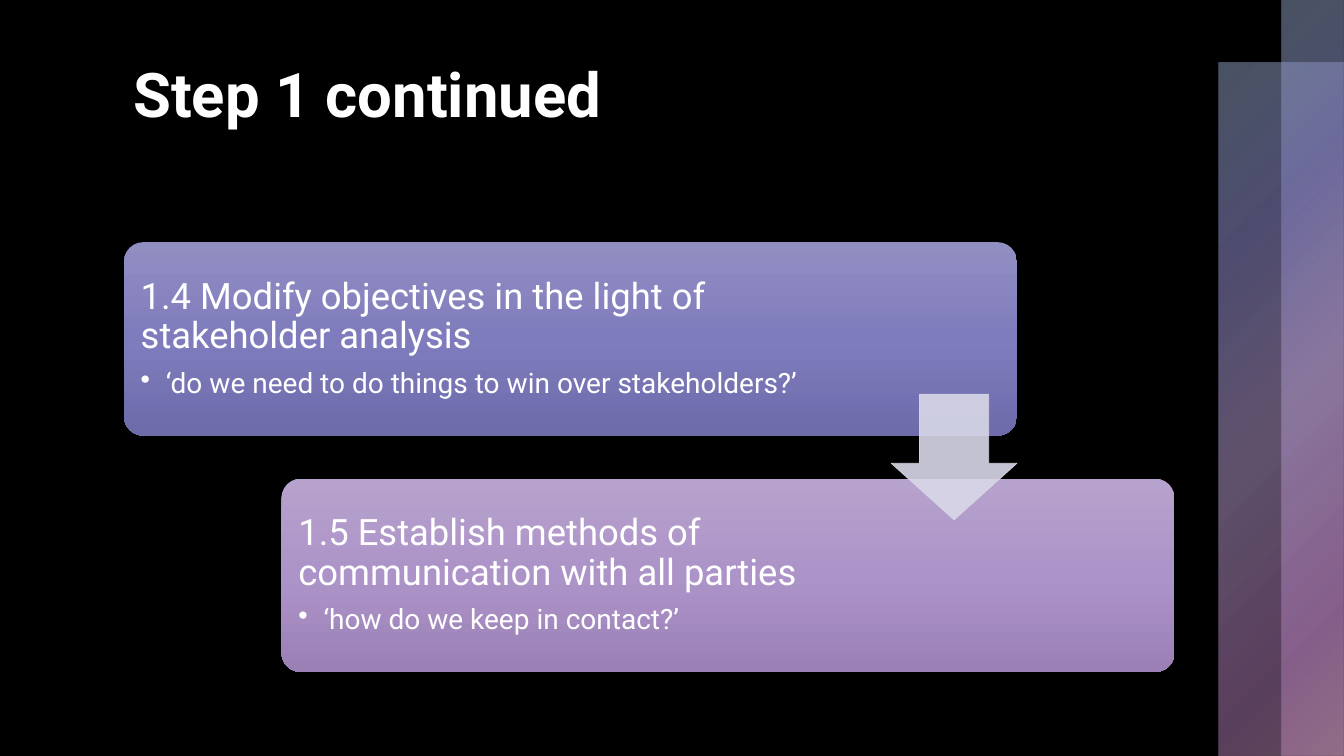
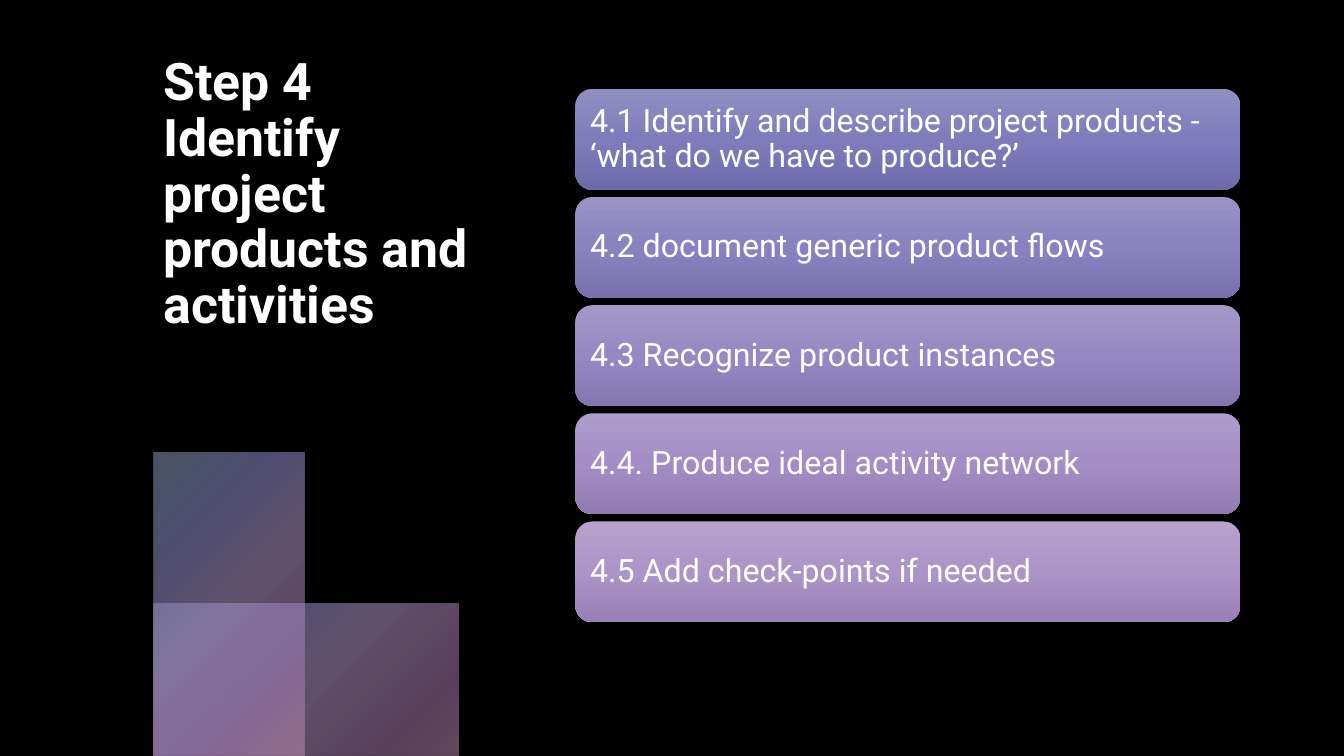
from collections import namedtuple
from dataclasses import dataclass

from lxml.etree import SubElement
from pptx import Presentation
from pptx.dml.color import RGBColor
from pptx.enum.shapes import MSO_SHAPE
from pptx.enum.text import MSO_ANCHOR, MSO_AUTO_SIZE, PP_ALIGN
from pptx.oxml.ns import qn
from pptx.util import Pt

Box = namedtuple("Box", "left top width height")


@dataclass(frozen=True)
class Theme:
    """Colours and type sizes shared by all slides."""

    font: str = "Roboto"
    background: str = "000000"
    text: str = "FFFFFF"
    arrow: str = "D8D8E7"
    arrow_opacity: int = 90
    card_first: tuple = ("918EC2", "7F7CBD", "6E6BAB")
    card_last: tuple = ("B6A2CD", "AD94C8", "9A80B5")
    panel: tuple = (
        (0, "92A4C4", 50),
        (25, "827FBA", 60),
        (50, "AD96C6", 55),
        (81, "B37FBA", 50),
        (99, "C593B5", 50),
    )
    title_size: int = 44
    side_title_size: int = 37
    heading_size: int = 26
    list_size: int = 23
    detail_size: int = 20


THEME = Theme()


def blend(first, last, share):
    """Return the hex colour at the given share of the way between two."""
    pairs = zip(RGBColor.from_string(first), RGBColor.from_string(last))
    return str(RGBColor(*(round(a + (b - a) * share) for a, b in pairs)))


def card_colours(share):
    """Return the three gradient colours of a card in a series."""
    return [blend(a, b, share) for a, b in zip(THEME.card_first, THEME.card_last)]


def set_opacity(colour, percent):
    """Give a colour element an opacity."""
    SubElement(colour, qn("a:alpha"), val=str(percent * 1000))


def set_gradient(shape, stops, radial=False):
    """Fill a shape with a vertical gradient, or one spreading from its top left."""
    shape.fill.background()
    properties = shape.fill._xPr
    empty_fill = properties.find(qn("a:noFill"))
    gradient = SubElement(properties, qn("a:gradFill"), rotWithShape="1")
    properties.replace(empty_fill, gradient)
    stop_list = SubElement(gradient, qn("a:gsLst"))
    for position, colour, opacity in stops:
        stop = SubElement(stop_list, qn("a:gs"), pos=str(position * 1000))
        set_opacity(SubElement(stop, qn("a:srgbClr"), val=colour), opacity)
    if radial:
        spread = SubElement(gradient, qn("a:path"), path="circle")
        SubElement(spread, qn("a:fillToRect"), r="100000", b="100000")
    else:
        SubElement(gradient, qn("a:lin"), ang="5400000", scaled="0")


def add_shape(slide, kind, box):
    """Add a preset shape without shadow or line."""
    shape = slide.shapes.add_shape(kind, *(Pt(length) for length in box))
    shape.shadow.inherit = False
    shape.line.fill.background()
    return shape


def add_text(frame, text, *, size, bold=False, line_spacing=1.0, space_after=0, bullet_indent=0):
    """Write a paragraph into a text frame, using its first one while empty."""
    paragraph = frame.paragraphs[0]
    if paragraph.runs:
        paragraph = frame.add_paragraph()
    paragraph.alignment = PP_ALIGN.LEFT
    paragraph.line_spacing = line_spacing
    paragraph.space_after = Pt(space_after)
    if bullet_indent:
        properties = paragraph._p.get_or_add_pPr()
        properties.set("marL", str(Pt(bullet_indent)))
        properties.set("indent", str(-Pt(bullet_indent)))
        SubElement(properties, qn("a:buChar"), char="•")
    run = paragraph.add_run()
    run.text = text
    run.font.name = THEME.font
    run.font.size = Pt(size)
    run.font.bold = bold
    run.font.color.rgb = RGBColor.from_string(THEME.text)


def set_margins(frame, margin, right=None):
    """Set equal insets, with an optional wider one on the right."""
    frame.margin_left = frame.margin_top = frame.margin_bottom = Pt(margin)
    frame.margin_right = Pt(margin if right is None else right)


def add_slide(presentation, title, box, size, line_spacing=1.0):
    """Add a dark slide with its title in the given box."""
    slide = presentation.slides.add_slide(presentation.slide_layouts[5])
    slide.background.fill.solid()
    slide.background.fill.fore_color.rgb = RGBColor.from_string(THEME.background)
    shape = slide.shapes.title
    shape.left, shape.top, shape.width, shape.height = (Pt(length) for length in box)
    frame = shape.text_frame
    frame.word_wrap = True
    frame.auto_size = MSO_AUTO_SIZE.NONE
    frame.vertical_anchor = MSO_ANCHOR.TOP
    add_text(frame, title, size=size, bold=True, line_spacing=line_spacing)
    return slide


def add_panels(slide, box, wide_top, tall_left, tall_width):
    """Overlap a wide and a tall translucent panel inside the box."""
    wide = Box(box.left, box.top + wide_top, box.width, box.height - wide_top)
    tall = Box(box.left + tall_left, box.top, tall_width, box.height)
    for panel in (wide, tall):
        shape = add_shape(slide, MSO_SHAPE.RECTANGLE, panel)
        set_gradient(shape, THEME.panel, radial=True)


def add_card(slide, box, share, margin, right=None):
    """Add a rounded gradient card and return it."""
    card = add_shape(slide, MSO_SHAPE.ROUNDED_RECTANGLE, box)
    colours = card_colours(share)
    set_gradient(card, [(position, colour, 100) for position, colour in zip((0, 50, 100), colours)])
    frame = card.text_frame
    frame.word_wrap = True
    frame.vertical_anchor = MSO_ANCHOR.MIDDLE
    set_margins(frame, margin, right)
    return card


def add_arrow(slide, box):
    """Add a translucent arrow pointing down."""
    arrow = add_shape(slide, MSO_SHAPE.DOWN_ARROW, box)
    arrow.adjustments[0] = 0.55
    arrow.adjustments[1] = 0.45
    arrow.line.width = Pt(0.5)
    for fill in (arrow.fill, arrow.line.fill):
        fill.solid()
        fill.fore_color.rgb = RGBColor.from_string(THEME.arrow)
        set_opacity(fill._xPr.find(qn("a:solidFill"))[0], THEME.arrow_opacity)


def add_staircase(slide, box, steps):
    """Lay two cards as descending steps, joined by an arrow."""
    width, height = box.width * 0.85, box.height * 0.45
    for index, (heading, detail, right) in enumerate(steps):
        left = box.left + index * (box.width - width)
        top = box.top + index * (box.height - height)
        card = add_card(slide, Box(left, top, width, height), index, 8, right)
        card.adjustments[0] = 0.1
        add_text(card.text_frame, heading, size=THEME.heading_size, line_spacing=0.9, space_after=9)
        add_text(card.text_frame, detail, size=THEME.detail_size, line_spacing=0.9,
                 space_after=3, bullet_indent=18)
    side = height * 0.65
    add_arrow(slide, Box(box.left + width - side, box.top + (box.height - side) / 2, side, side))


def add_card_list(slide, box, items, gap):
    """Stack equal cards down the box."""
    height = (box.height - gap * (len(items) - 1)) / len(items)
    for index, item in enumerate(items):
        card_box = Box(box.left, box.top + index * (height + gap), box.width, height)
        card = add_card(slide, card_box, index / (len(items) - 1), 7)
        add_text(card.text_frame, item, size=THEME.list_size, line_spacing=0.9)


def build_staircase_slide(presentation):
    """Build the slide with the last parts of step 1."""
    slide = add_slide(presentation, "Step 1 continued", Box(88, 36, 746.5, 122.5), THEME.title_size)
    add_panels(slide, Box(870.5, 0, 89.5, 540), wide_top=45, tall_left=45, tall_width=44.5)
    add_staircase(slide, Box(88.5, 173, 750.5, 307), (
        ("1.4 Modify objectives in the light of stakeholder analysis",
         "‘do we need to do things to win over stakeholders?’", 143),
        ("1.5 Establish methods of communication with all parties",
         "‘how do we keep in contact?’", 211),
    ))


def build_list_slide(presentation):
    """Build the slide listing the parts of step 4."""
    slide = add_slide(presentation, "Step 4 Identify project products and activities",
                      Box(109.5, 36, 250.5, 267), THEME.side_title_size, 0.9)
    add_panels(slide, Box(109.5, 323, 218, 217), wide_top=108, tall_left=0, tall_width=108)
    add_card_list(slide, Box(411, 63.5, 475, 381), (
        "4.1 Identify and describe project products - ‘what do we have to produce?’",
        "4.2 document generic product flows",
        "4.3 Recognize product instances",
        "4.4. Produce ideal activity network",
        "4.5 Add check-points if needed",
    ), gap=5.25)


def main():
    """Build and save the presentation."""
    presentation = Presentation()
    presentation.slide_width, presentation.slide_height = Pt(960), Pt(540)
    build_staircase_slide(presentation)
    build_list_slide(presentation)
    presentation.save("out.pptx")


if __name__ == "__main__":
    main()
